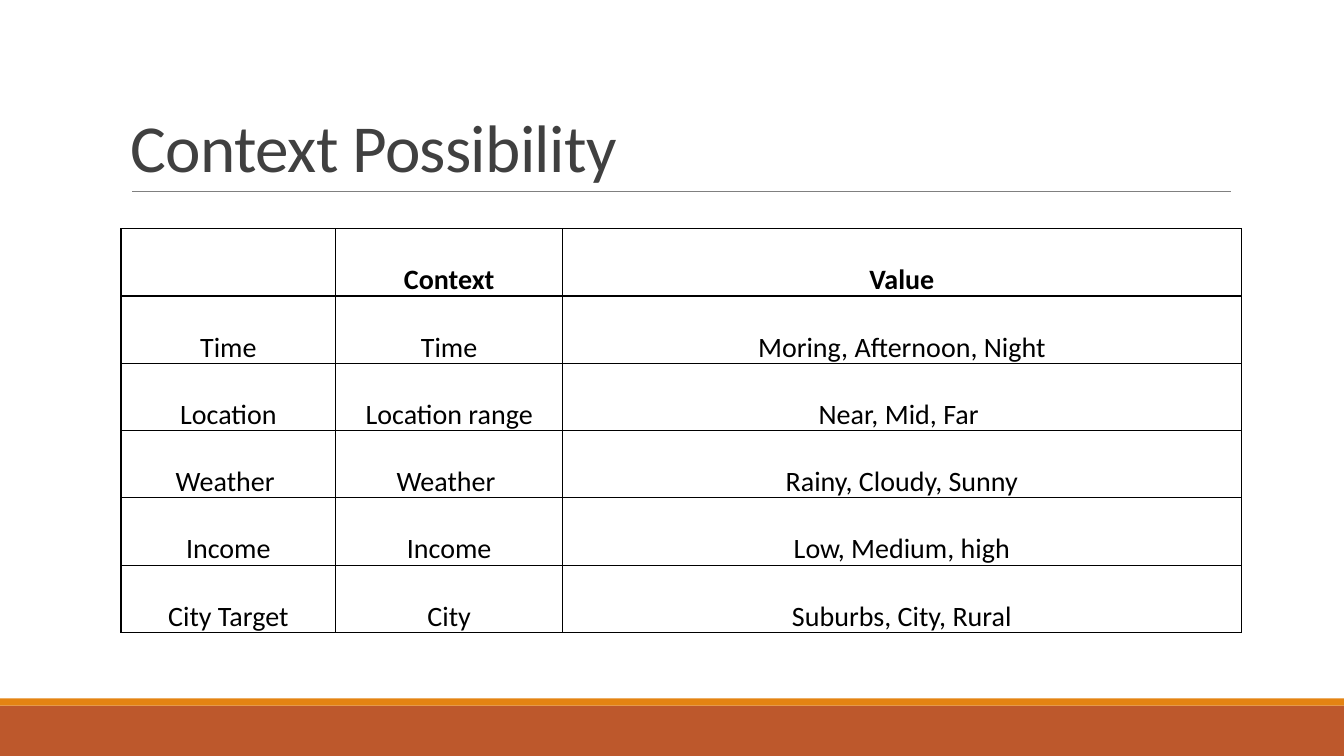
from pptx import Presentation
from pptx.util import Inches, Pt
from pptx.dml.color import RGBColor
from pptx.enum.shapes import MSO_SHAPE as SHAPE, MSO_CONNECTOR as CONN
from pptx.enum.text import MSO_ANCHOR as ANCHOR, PP_ALIGN as ALIGN
from pptx.oxml import parse_xml
from pptx.oxml.ns import nsdecls
from lxml import etree

W, H = 13.33, 7.5
LEFT = 1.2


def rgb(code):
    return RGBColor.from_string(code)


def add_run(p, text, size, color, bold=False):
    r = p.add_run()
    r.text = text
    r.font.name = "Calibri"
    r.font.size = Pt(size)
    r.font.bold = bold
    r.font.color.rgb = rgb(color)
    return r


prs = Presentation()
prs.slide_width, prs.slide_height = Inches(W), Inches(H)
s = prs.slides.add_slide(prs.slide_layouts[6])

# Footer bands
for top, height, color in [(7, 0.5, "BD582C"), (6.93, 0.07, "E48312")]:
    sp = s.shapes.add_shape(SHAPE.RECTANGLE, 0, Inches(top), Inches(W), Inches(height))
    sp.shadow.inherit = False
    sp.fill.solid()
    sp.fill.fore_color.rgb = rgb(color)
    sp.line.fill.background()

# Rule under the title
rule = s.shapes.add_connector(CONN.STRAIGHT, Inches(1.31), Inches(1.9), Inches(12.21), Inches(1.9))
rule.line.color.rgb = rgb("808080")
rule.line.width = Pt(0.5)
rule._element.spPr.append(parse_xml(f"<a:effectLst {nsdecls('a')}/>"))

# Title
tf = s.shapes.add_textbox(Inches(LEFT), Inches(0.31), Inches(11), Inches(1.59)).text_frame
tf.word_wrap = True
tf.vertical_anchor = ANCHOR.BOTTOM
p = tf.paragraphs[0]
p.line_spacing = 0.85
r = add_run(p, "Context Possibility", 48, "404040")
r.font._element.set("spc", "-50")

# Context table
rows = [
    ("", "Context", "Value"),
    ("Time", "Time", "Moring, Afternoon, Night"),
    ("Location", "Location range", "Near, Mid, Far "),
    ("Weather ", "Weather ", "Rainy, Cloudy, Sunny"),
    ("Income", "Income", "Low, Medium, high"),
    ("City Target", "City", "Suburbs, City, Rural"),
]
col_widths = [2.13, 2.25, 6.73]
row_height = 0.63
table = s.shapes.add_table(len(rows), len(col_widths), Inches(LEFT), Inches(2.27),
                           Inches(sum(col_widths)), Inches(row_height * len(rows))).table
for col, width in zip(table.columns, col_widths):
    col.width = Inches(width)

for i, texts in enumerate(rows):
    table.rows[i].height = Inches(row_height)
    for j, text in enumerate(texts):
        cell = table.cell(i, j)
        cell.margin_left = cell.margin_right = Inches(0.07)
        cell.margin_top = cell.margin_bottom = 0
        # Borders come before the fill in the cell properties
        tcPr = cell._tc.get_or_add_tcPr()
        for side in ("lnL", "lnR", "lnT", "lnB"):
            tcPr.append(etree.fromstring(
                f'<a:{side} {nsdecls("a")} w="{Pt(1)}"><a:solidFill>'
                f'<a:srgbClr val="000000"/></a:solidFill></a:{side}>'))
        cell.fill.solid()
        cell.fill.fore_color.rgb = rgb("FFFFFF")
        if text:
            p = cell.text_frame.paragraphs[0]
            p.alignment = ALIGN.CENTER
            p.line_spacing = 2.0
            add_run(p, text, 20, "000000", bold=i == 0)

prs.save("out.pptx")
